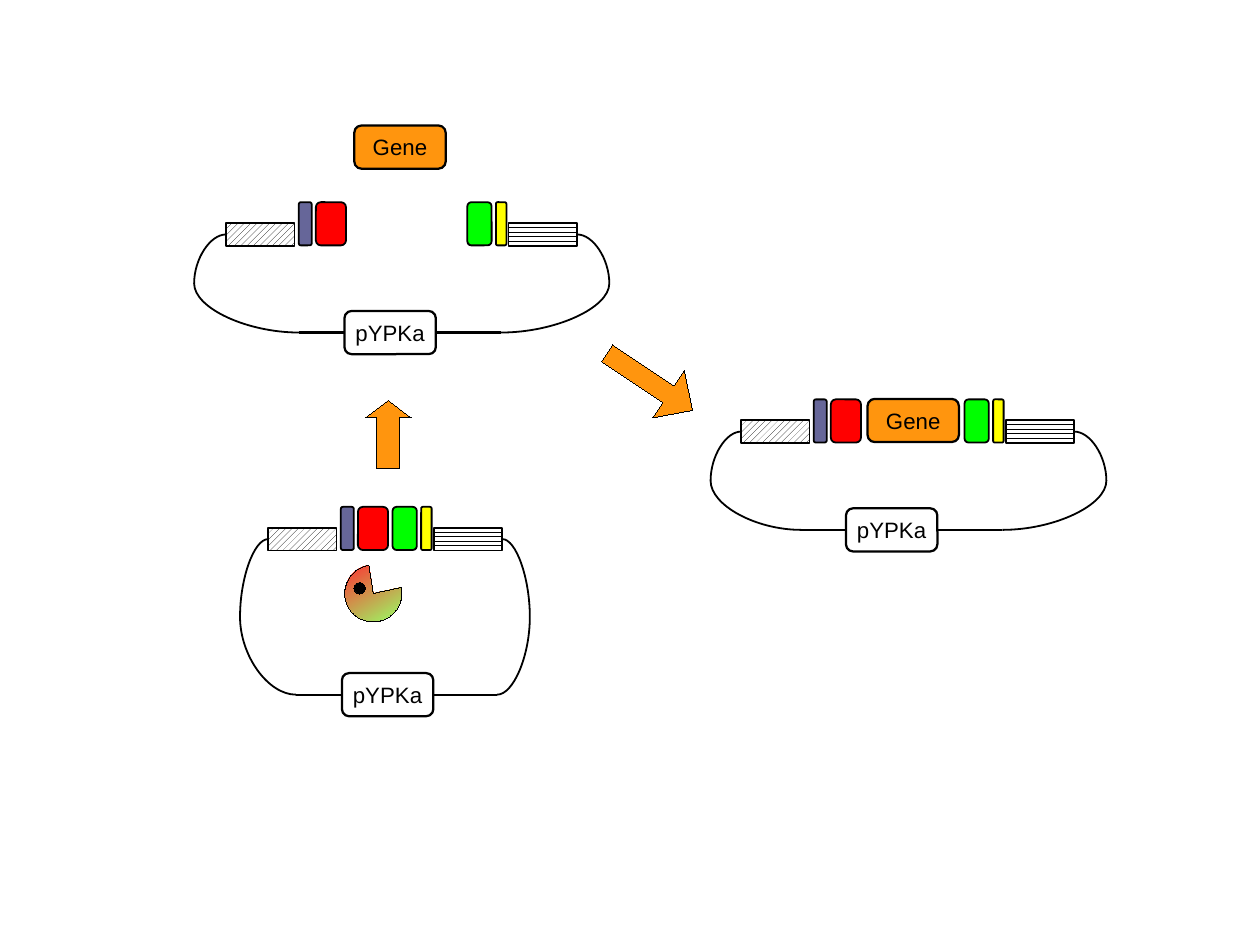
import pptx
import pptx.util
import pptx.dml.color
import pptx.enum.dml
import pptx.enum.shapes
import pptx.enum.text
import pptx.oxml.ns
from lxml import etree

Pt = pptx.util.Pt
SHAPE = pptx.enum.shapes.MSO_SHAPE
CONNECTOR = pptx.enum.shapes.MSO_CONNECTOR
PATTERN = pptx.enum.dml.MSO_PATTERN
qn = pptx.oxml.ns.qn


def color(code):
    return pptx.dml.color.RGBColor.from_string(code)


def set_all(target, values):
    for name, value in values.items():
        setattr(target, name, value)


class Diagram:
    ink = "000000"
    orange = "FF950E"
    hairline, thin, thick = 0.01, 1.13, 1.42
    box_width, box_height = 57.6, 27.2
    end_width, end_height = 43.2, 14.4
    frame_format = {
        "margin_left": Pt(8), "margin_right": Pt(8),
        "margin_top": Pt(4.3), "margin_bottom": Pt(4.3),
        "vertical_anchor": pptx.enum.text.MSO_ANCHOR.MIDDLE,
        "word_wrap": False,
    }
    font_format = {"name": "Arial", "size": Pt(14)}

    def __init__(self, slide):
        self.slide = slide

    def outline(self, line, width):
        line.color.rgb = color(self.ink)
        line.width = Pt(width)

    def shape(self, kind, x, y, width, height, fill=None, line=hairline):
        item = self.slide.shapes.add_shape(kind, Pt(x), Pt(y), Pt(width), Pt(height))
        item.shadow.inherit = False
        if fill:
            item.fill.solid()
            item.fill.fore_color.rgb = color(fill)
        else:
            item.fill.background()
        self.outline(item.line, line)
        return item

    def label(self, text, x, y, fill=None):
        box = self.shape(SHAPE.ROUNDED_RECTANGLE, x, y, self.box_width,
                         self.box_height, fill, self.thick)
        set_all(box.text_frame, self.frame_format)
        paragraph = box.text_frame.paragraphs[0]
        paragraph.text = text
        paragraph.alignment = pptx.enum.text.PP_ALIGN.CENTER
        set_all(paragraph.font, self.font_format)
        paragraph.font.color.rgb = color(self.ink)
        return box

    def hatched(self, x, y, pattern):
        item = self.shape(SHAPE.RECTANGLE, x, y, self.end_width, self.end_height, line=self.thin)
        item.fill.patterned()
        item.fill.pattern = pattern
        item.fill.fore_color.rgb = color(self.ink)
        item.fill.back_color.rgb = color("FFFFFF")

    def connector(self, kind, start, end, width):
        item = self.slide.shapes.add_connector(kind, *map(Pt, start + end))
        self.outline(item.line, width)
        etree.SubElement(item.element.spPr, qn("a:effectLst"))
        return item

    def curve(self, start, end, reach):
        item = self.connector(CONNECTOR.CURVE, start, end, self.thin)
        bend = round((reach - start[0]) / (end[0] - start[0]) * 100000)
        guides = item.element.spPr.find(qn("a:prstGeom")).get_or_add_avLst()
        etree.SubElement(guides, qn("a:gd"), name="adj1", fmla=f"val {bend}")

    def plasmid(self, left, right, top, label_at, joints, reaches):
        end_top = top + 13.1
        self.hatched(left, end_top, PATTERN.WIDE_UPWARD_DIAGONAL)
        self.hatched(right, end_top, PATTERN.HORIZONTAL)
        for x, width, fill in (
            (left + 45.8, 8.2, "666699"),
            (left + 56.6, 19, "FF0000"),
            (right - 26, 15.3, "00FF00"),
            (right - 8, 6.6, "FFFF00"),
        ):
            self.shape(SHAPE.ROUNDED_RECTANGLE, x, top, width, self.box_height, fill, self.thin)
        backbone = self.label("pYPKa", *label_at)
        middle = label_at[1] + self.box_height / 2
        starts = (left, right + self.end_width)
        for start, joint, reach, side in zip(starts, joints, reaches, (1, 3)):
            self.curve((start, end_top + self.end_height / 2), (joint, middle), reach)
            stem = self.connector(CONNECTOR.STRAIGHT, (label_at[0], middle),
                                  (joint, middle), self.thick)
            stem.begin_connect(backbone, side)

    def enzyme(self, x, y, size):
        body = self.shape(SHAPE.PIE, x, y, size, size, self.orange)
        for index, degrees in enumerate((348, 261)):
            body.adjustments[index] = degrees * 0.6
        body.fill.gradient()
        body.fill.gradient_angle = 300
        for stop, (position, code) in zip(body.fill.gradient_stops,
                                          ((0, "FF3333"), (1, "99FF66"))):
            stop.position = position
            stop.color.rgb = color(code)
        self.shape(SHAPE.OVAL, x + 5.8, y + 11.2, 7.2, 7.2, self.ink)

    def arrow(self, kind, x, y, width, height, adjustments, rotation=0):
        item = self.shape(kind, x, y, width, height, self.orange)
        for index, value in enumerate(adjustments):
            item.adjustments[index] = value
        item.rotation = rotation


def main():
    deck = pptx.Presentation()
    set_all(deck, {"slide_width": Pt(100800 / 127), "slide_height": Pt(75600 / 127)})
    diagram = Diagram(deck.slides.add_slide(deck.slide_layouts[6]))

    diagram.plasmid(142.4, 320.4, 127.4, (217, 195.9), (188.6, 315.4), (122.3, 383.9))
    diagram.plasmid(168.9, 273.3, 319.3, (215.4, 424), (186.5, 313.2), (151.2, 333.9))
    diagram.plasmid(466.8, 633.6, 251.6, (532.9, 320.2), (504.7, 631.4), (447.6, 697))
    diagram.label("Gene", 223.2, 79.1, Diagram.orange)
    diagram.label("Gene", 546.5, 251.3, Diagram.orange)
    diagram.enzyme(217.2, 355.8, 36)
    diagram.arrow(SHAPE.RIGHT_ARROW, 377, 222.5, 64.8, 36, (0.35, 0.51), 33.7)
    diagram.arrow(SHAPE.UP_ARROW, 230.2, 252.2, 28.8, 43.2, (0.5, 0.38))
    deck.save("out.pptx")


if __name__ == "__main__":
    main()
